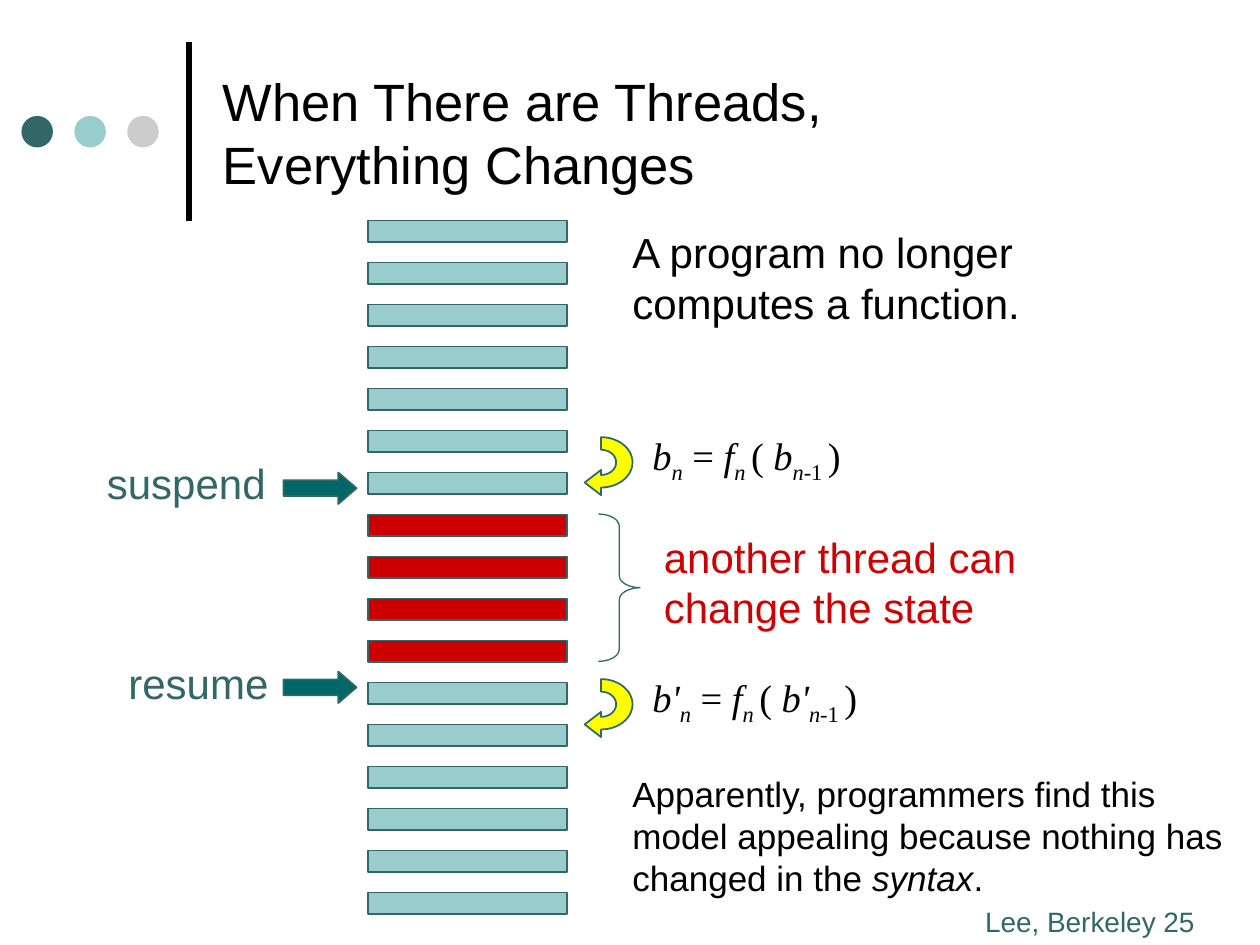
import math

from lxml import etree
from pptx import Presentation
from pptx.dml.color import RGBColor
from pptx.enum import shapes, text
from pptx.oxml.ns import qn
from pptx.util import Inches, Pt

BLACK = RGBColor(0x00, 0x00, 0x00)
TEAL = RGBColor(0x33, 0x66, 0x66)
LIGHT_TEAL = RGBColor(0x99, 0xCC, 0xCC)
DEEP_TEAL = RGBColor(0x00, 0x66, 0x66)
GRAY = RGBColor(0xCC, 0xCC, 0xCC)
RED = RGBColor(0xCC, 0x00, 0x00)
YELLOW = RGBColor(0xFF, 0xFF, 0x00)
SHAPE = shapes.MSO_SHAPE


def style(sp, fill=None, line=None, width=1):
    sp.shadow.inherit = False
    if fill is None:
        sp.fill.background()
    else:
        sp.fill.solid()
        sp.fill.fore_color.rgb = fill
    if line is None:
        sp.line.fill.background()
    else:
        sp.line.color.rgb = line
        sp.line.width = Pt(width)


def add_shape(s, kind, x, y, w, h, fill=None, line=None, width=1, adjust=()):
    sp = s.shapes.add_shape(kind, Inches(x), Inches(y), Inches(w), Inches(h))
    for i, value in enumerate(adjust):
        sp.adjustments[i] = value
    style(sp, fill, line, width)


def add_text(s, x, y, w, h, runs, size, color=BLACK, font="Arial",
             anchor=text.MSO_ANCHOR.TOP, top=0.05):
    """Each run is (words, italic, subscript)."""
    tf = s.shapes.add_textbox(Inches(x), Inches(y), Inches(w), Inches(h)).text_frame
    tf.word_wrap = True
    tf.vertical_anchor = anchor
    tf.margin_top = Inches(top)
    p = tf.paragraphs[0]
    p.font.name, p.font.size, p.font.color.rgb = font, Pt(size), color
    if isinstance(runs, str):
        p.text = runs
        runs = []
    for words, italic, subscript in runs:
        r = p.add_run()
        r.text = words
        if italic:
            r.font.italic = True
        if subscript:
            r.font._element.set("baseline", "-25000")
    for r in p.runs:
        r.font.name, r.font.size, r.font.color.rgb = font, Pt(size), color


def add_equation(s, y, name):
    runs = [(name, True, False), ("n", True, True), (" =", False, False),
            (" f", True, False), ("n ", True, True), ("( ", False, False),
            (name, True, False), ("n", True, True), ("-1 ", False, True),
            (")", False, False)]
    add_text(s, 5.08, y, 4.27, 0.52, runs, 22, font="Times New Roman", top=0.1)


def add_return_arrow(s, y):
    cx, cy = 4.77, y + 0.2

    def half_ring(rx, ry):
        angles = [math.radians(a) for a in range(-90, 91, 6)]
        return [(cx + rx * math.cos(a), cy + ry * math.sin(a)) for a in angles]

    head = [(cx, y + 0.46), (4.64, y + 0.36), (cx, y + 0.26)]
    outline = half_ring(0.25, 0.2) + head + half_ring(0.12, 0.1)[::-1]
    points = [(Inches(px), Inches(py)) for px, py in outline]
    builder = s.shapes.build_freeform(*points[0])
    builder.add_line_segments(points[1:], close=True)
    style(builder.convert_to_shape(), YELLOW, TEAL)


def add_rule(s, x, y1, y2):
    line = s.shapes.add_connector(shapes.MSO_CONNECTOR.STRAIGHT,
                                  Inches(x), Inches(y1), Inches(x), Inches(y2))
    line.line.color.rgb = BLACK
    line.line.width = Pt(3)
    etree.SubElement(line._element.spPr, qn("a:effectLst"))


def main():
    prs = Presentation()
    prs.slide_width, prs.slide_height = Inches(10), Inches(7.5)
    s = prs.slides.add_slide(prs.slide_layouts[6])

    # Header decoration, footer and title
    add_rule(s, 1.5, 1.75, 0.33)
    for i, color in enumerate((TEAL, LIGHT_TEAL, GRAY)):
        add_shape(s, SHAPE.OVAL, 0.17 + 0.42 * i, 0.92, 0.25, 0.25, color)
    add_text(s, 7.72, 7.13, 2.63, 0.37, "Lee, Berkeley 25", 16, TEAL)
    add_text(s, 1.67, 0.21, 8.08, 1.67,
             "When There are Threads,\vEverything Changes", 30,
             anchor=text.MSO_ANCHOR.MIDDLE)

    # Program steps, with the other thread's steps in red
    for i in range(17):
        add_shape(s, SHAPE.RECTANGLE, 2.92, 1.75 + i / 3, 1.58, 0.17,
                  RED if 7 <= i <= 10 else LIGHT_TEAL, TEAL)

    # Suspend and resume markers
    for label, x, y, w, arrow_y in (("suspend", 0.75, 3.58, 1.5, 3.75),
                                    ("resume", 0.92, 5.17, 1.35, 5.33)):
        add_text(s, x, y, w, 0.5, label, 24, TEAL)
        add_shape(s, SHAPE.RIGHT_ARROW, 2.25, arrow_y, 0.58, 0.25,
                  DEEP_TEAL, TEAL, adjust=(0.5, 0.58))

    # State changes
    add_shape(s, SHAPE.RIGHT_BRACE, 4.75, 4.08, 0.33, 1.17,
              line=TEAL, width=0.75, adjust=(0.29, 0.5))
    for y, name in ((3.33, "b"), (5.25, "b'")):
        add_return_arrow(s, y + 0.14)
        add_equation(s, y, name)

    # Remarks
    add_text(s, 4.92, 1.75, 4.58, 0.9,
             "A program no longer computes a function.", 24)
    add_text(s, 5.17, 4.17, 3.92, 0.9,
             "another thread can change the state", 24, RED)
    add_text(s, 4.92, 6.08, 5.08, 1.1,
             [("Apparently, programmers find this model appealing because "
               "nothing has changed in the ", False, False),
              ("syntax", True, False), (".", False, False)], 20)

    prs.save("out.pptx")


if __name__ == "__main__":
    main()
